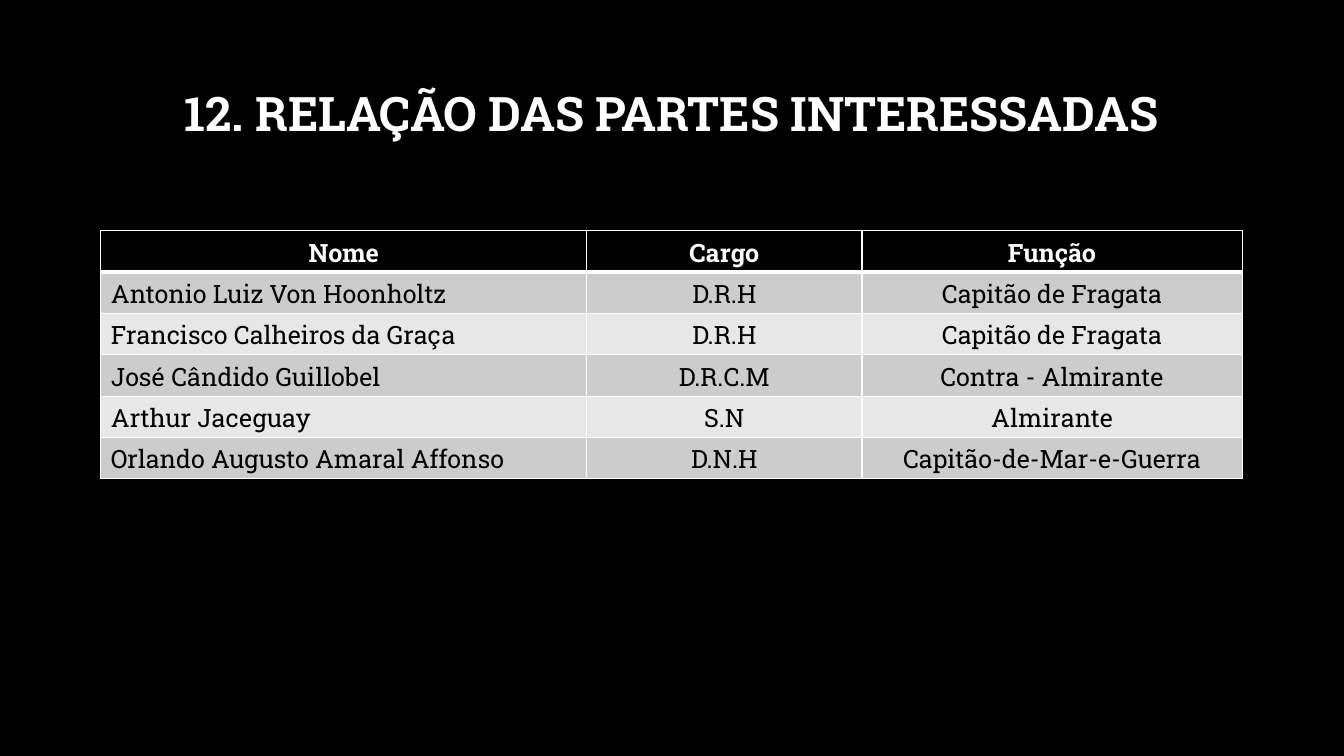
from lxml.etree import SubElement
from pptx import Presentation
from pptx.dml.color import RGBColor
from pptx.enum.text import MSO_ANCHOR, PP_ALIGN
from pptx.oxml.ns import qn
from pptx.util import Inches, Pt

BLACK = RGBColor(0x00, 0x00, 0x00)
WHITE = RGBColor(0xFF, 0xFF, 0xFF)
DARK_BAND = RGBColor(0xCC, 0xCC, 0xCC)
LIGHT_BAND = RGBColor(0xE7, 0xE7, 0xE7)

TITLE = "12. RELAÇÃO DAS PARTES INTERESSADAS"
HEADER = ("Nome", "Cargo", "Função")
STAKEHOLDERS = [
    ("Antonio Luiz Von Hoonholtz", "D.R.H", "Capitão de Fragata"),
    ("Francisco Calheiros da Graça", "D.R.H", "Capitão de Fragata"),
    ("José Cândido Guillobel", "D.R.C.M", "Contra - Almirante"),
    ("Arthur Jaceguay", "S.N", "Almirante"),
    ("Orlando Augusto Amaral Affonso", "D.N.H", "Capitão-de-Mar-e-Guerra"),
]
COLUMN_WIDTHS = (4.82, 2.73, 3.77)
ROW_HEIGHT = 0.41
LEFT, WIDTH = 1, 11.32


class SlideBuilder:
    font_name = "Roboto Slab"

    def __init__(self, slide):
        self.slide = slide

    def background(self, color):
        fill = self.slide.background.fill
        fill.solid()
        fill.fore_color.rgb = color

    def add_text(self, frame, text, color, align, **font_format):
        paragraph = frame.paragraphs[0]
        paragraph.alignment = align
        run = paragraph.add_run()
        run.text = text
        run.font.color.rgb = color
        for attribute, value in {"name": self.font_name, **font_format}.items():
            setattr(run.font, attribute, value)
        return paragraph

    def title(self, text, left, top, width, height):
        box = self.slide.shapes.add_textbox(*map(Inches, (left, top, width, height)))
        frame = box.text_frame
        frame.word_wrap = True
        frame.vertical_anchor = MSO_ANCHOR.MIDDLE
        paragraph = self.add_text(frame, text, WHITE, PP_ALIGN.CENTER, size=Pt(34), bold=True)
        paragraph.line_spacing = 0.9

    def border(self, cell, widths, color):
        """Draw the cell edges; widths maps an edge (L, R, T, B) to points."""
        properties = cell._tc.get_or_add_tcPr()
        for position, (edge, width) in enumerate(widths.items()):
            line = SubElement(properties, qn(f"a:ln{edge}"), w=str(Pt(width)))
            fill = SubElement(line, qn("a:solidFill"))
            SubElement(fill, qn("a:srgbClr"), val=str(color))
            properties.insert(position, line)

    def table(self, rows, left, top, column_widths, row_height):
        size = sum(column_widths), row_height * len(rows)
        table = self.slide.shapes.add_table(
            len(rows), len(column_widths), *map(Inches, (left, top, *size))
        ).table
        for column, width in zip(table.columns, column_widths):
            column.width = Inches(width)
        for r, texts in enumerate(rows):
            is_header = r == 0
            table.rows[r].height = Inches(row_height)
            band = BLACK if is_header else DARK_BAND if r % 2 else LIGHT_BAND
            edges = {"L": 1, "R": 1, "T": 3 if r == 1 else 1, "B": 3 if is_header else 1}
            for c, text in enumerate(texts):
                cell = table.cell(r, c)
                cell.fill.solid()
                cell.fill.fore_color.rgb = band
                self.border(cell, edges, WHITE)
                is_name = c == 0 and not is_header
                self.add_text(
                    cell.text_frame,
                    text,
                    WHITE if is_header else BLACK,
                    PP_ALIGN.LEFT if is_name else PP_ALIGN.CENTER,
                    size=Pt(18),
                    bold=is_header,
                )


def main():
    presentation = Presentation()
    presentation.slide_width = Inches(13.33)
    presentation.slide_height = Inches(7.5)
    blank_layout = presentation.slide_layouts[6]
    builder = SlideBuilder(presentation.slides.add_slide(blank_layout))
    builder.background(BLACK)
    builder.title(TITLE, LEFT, 0.67, WIDTH, 0.97)
    builder.table([HEADER, *STAKEHOLDERS], LEFT, 2.29, COLUMN_WIDTHS, ROW_HEIGHT)
    presentation.save("out.pptx")


if __name__ == "__main__":
    main()
